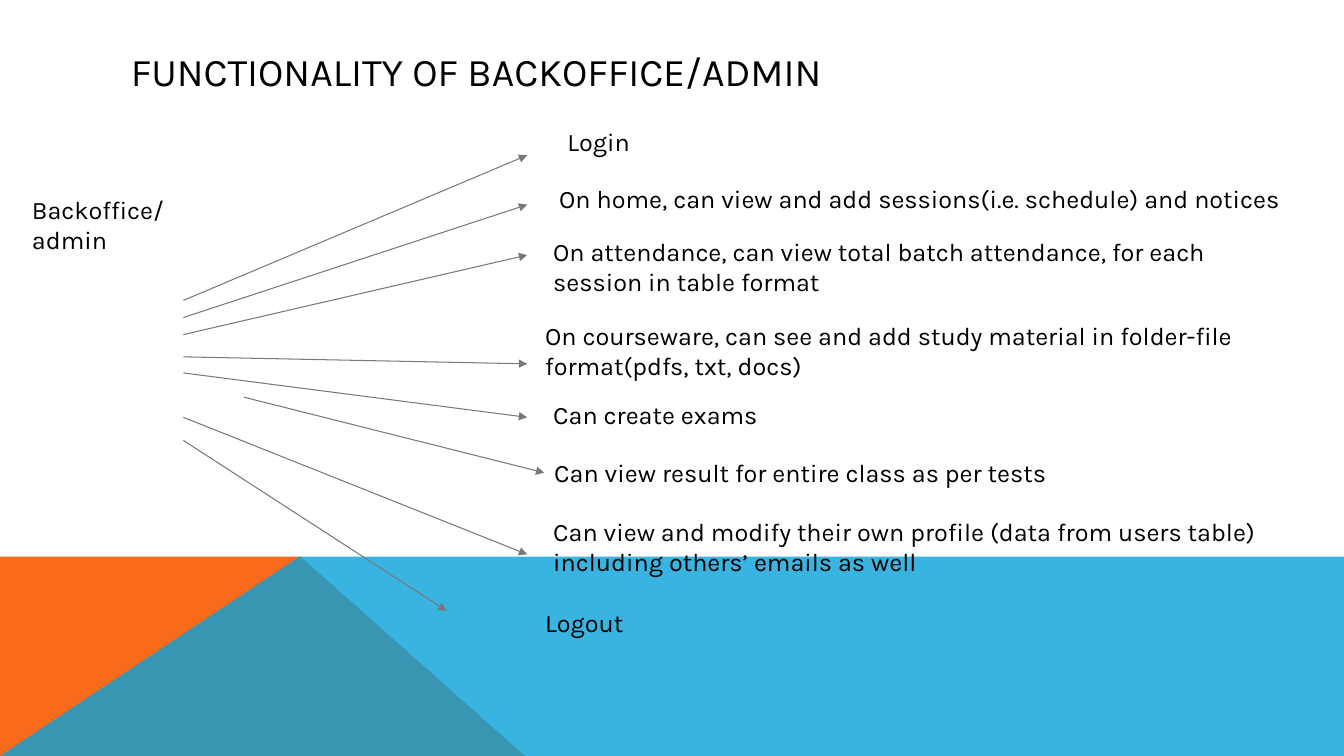
from lxml import etree
from pptx import Presentation
from pptx.dml.color import RGBColor
from pptx.enum.shapes import MSO_CONNECTOR
from pptx.enum.text import MSO_ANCHOR
from pptx.oxml.ns import qn
from pptx.util import Pt

STRAIGHT = MSO_CONNECTOR.STRAIGHT
TOP, MIDDLE = MSO_ANCHOR.TOP, MSO_ANCHOR.MIDDLE
WIDTH, HEIGHT = 960, 540
BAND_TOP = 397.5
ARROW_X, ARROW_END_X = 131, 376.6
ONE_LINE, TWO_LINES = 28.8, 51.1


def rgb(value):
    return RGBColor.from_string(value)


class SlideBuilder:
    font, text_color, line_color = "Karla", "000000", "76787B"

    def __init__(self, slide):
        self.slide = slide

    def polygon(self, points, color, alpha=None):
        points = [(Pt(x), Pt(y)) for x, y in points]
        builder = self.slide.shapes.build_freeform(*points[0])
        builder.add_line_segments(points[1:], close=True)
        sp = builder.convert_to_shape()
        sp.shadow.inherit = False
        sp.fill.solid()
        sp.fill.fore_color.rgb = rgb(color)
        sp.line.fill.background()
        if alpha is not None:
            clr = sp._element.spPr.find(qn("a:solidFill"))[0]
            etree.SubElement(clr, qn("a:alpha")).set("val", str(alpha * 1000))

    def text(self, text, left, top, width, height, size=18, anchor=TOP):
        sp = self.slide.shapes.add_textbox(Pt(left), Pt(top), Pt(width), Pt(height))
        tf = sp.text_frame
        tf.word_wrap = True
        tf.vertical_anchor = anchor
        tf.text = text
        font = tf.paragraphs[0].runs[0].font
        font.name, font.size = self.font, Pt(size)
        font.color.rgb = rgb(self.text_color)

    def arrow(self, x1, y1, x2, y2):
        cxn = self.slide.shapes.add_connector(STRAIGHT, Pt(x1), Pt(y1), Pt(x2), Pt(y2))
        cxn.line.color.rgb = rgb(self.line_color)
        cxn.line.width = Pt(0.75)
        ln = cxn.line._get_or_add_ln()
        etree.SubElement(ln, qn("a:tailEnd")).set("type", "triangle")
        etree.SubElement(cxn._element.spPr, qn("a:effectLst"))


def main():
    prs = Presentation()
    prs.slide_width, prs.slide_height = Pt(WIDTH), Pt(HEIGHT)
    s = SlideBuilder(prs.slides.add_slide(prs.slide_layouts[6]))

    # Bottom band
    s.polygon([(0, HEIGHT), (0, BAND_TOP), (214.5, BAND_TOP), (375, HEIGHT)], "F96A1B")
    s.polygon([(0, HEIGHT), (214, BAND_TOP), (WIDTH, BAND_TOP), (WIDTH, HEIGHT)],
              "08A1D9", alpha=80)

    # Title and actor
    s.text("FUNCTIONALITY OF BACKOFFICE/ADMIN", 86.4, 28.8, 790, 43.2, 28, MIDDLE)
    s.text("Backoffice/admin", 15.8, 135.4, 155.5, ONE_LINE)

    # Functions: text, left, top, width, height
    functions = [
        ("Login", 398.2, 86.4, 105.8, ONE_LINE),
        ("On home, can view and add sessions(i.e. schedule) and notices",
         392.4, 127.4, 532.8, ONE_LINE),
        ("On attendance, can view total batch attendance, for each session in table format",
         388.1, 164.9, 530.6, TWO_LINES),
        ("On courseware, can see and add study material in folder-file format(pdfs, txt, docs)",
         382.3, 225.4, 550.8, TWO_LINES),
        ("Can create exams", 388.1, 281.5, 522, ONE_LINE),
        ("Can view result for entire class as per tests", 388.8, 323.3, 452.9, ONE_LINE),
        ("Can view and modify their own profile (data from users table) "
         "including others’ emails as well", 388.1, 365, 566.6, TWO_LINES),
        ("Logout", 382.3, 430.6, 243.4, ONE_LINE),
    ]
    for function in functions:
        s.text(*function)

    # Arrows from the actor to the functions
    for y1, y2 in [(214.6, 110.9), (226.8, 146.2), (239, 182.2),
                   (254.9, 259.9), (266.4, 298.1), (298.1, 396)]:
        s.arrow(ARROW_X, y1, ARROW_END_X, y2)
    s.arrow(174.2, 283.7, 388.8, 337.7)
    s.arrow(ARROW_X, 314.6, 319, 436.3)

    prs.save("out.pptx")


if __name__ == "__main__":
    main()
